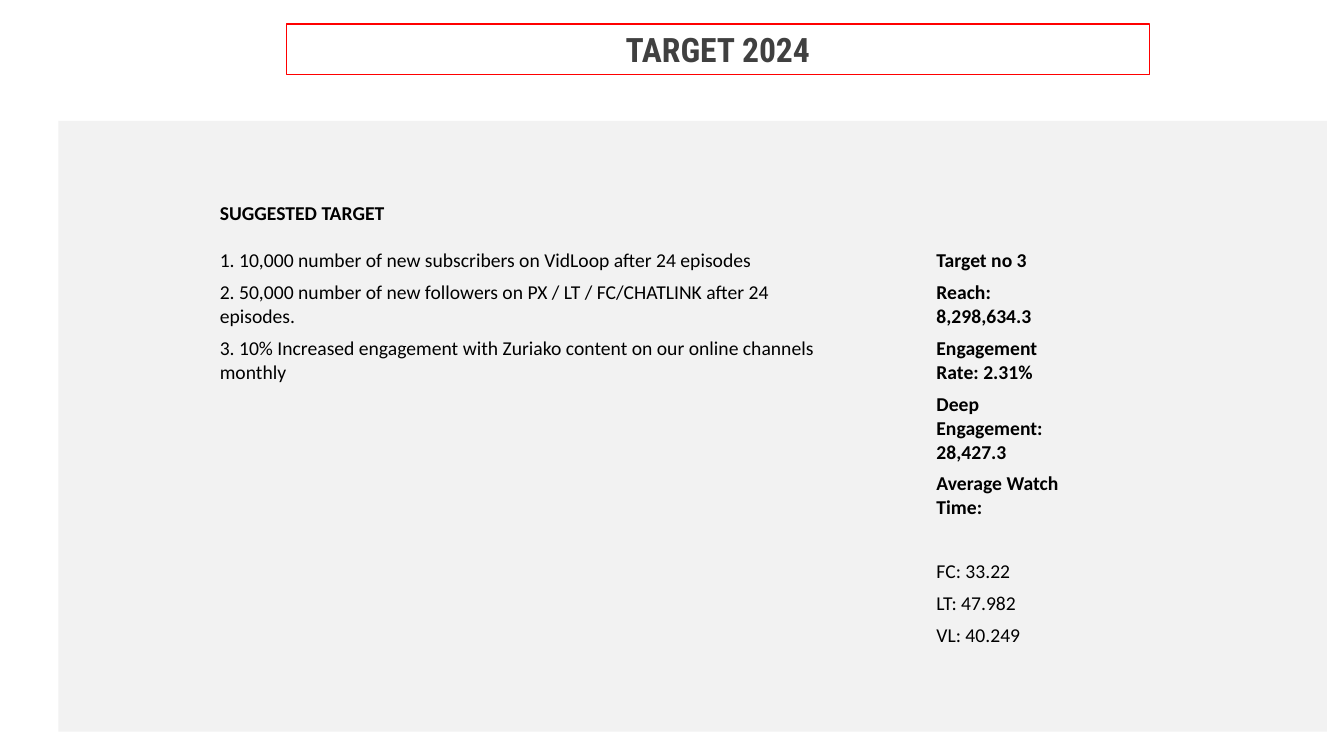
"""Build the TARGET 2024 slide with its table of suggested targets."""
from dataclasses import dataclass

from pptx import Presentation
from pptx.dml.color import RGBColor
from pptx.enum.shapes import MSO_SHAPE
from pptx.enum.text import MSO_ANCHOR, PP_ALIGN
from pptx.oxml.ns import qn
from pptx.shapes.autoshape import Shape
from pptx.slide import Slide
from pptx.table import Table, _Cell
from pptx.util import Inches, Pt

BLACK = RGBColor(0x00, 0x00, 0x00)
DARK_GREY = RGBColor(0x40, 0x40, 0x40)
LIGHT_GREY = RGBColor(0xF2, 0xF2, 0xF2)
RED = RGBColor(0xFF, 0x00, 0x00)

PLAIN_TABLE_STYLE = "{2D5ABB26-0587-4C30-8999-92F81FD0307C}"
COLUMN_COUNT = 11
COLUMN_WIDTH = 0.79
ROW_HEIGHTS = [0.3] * 3 + [0.53, 0.53, 0.76, 0.53] + [0.3] * 5
RESULT_COLUMN = 9


@dataclass(frozen=True)
class Entry:
    """A merged block of table cells and its text."""
    row: int
    column: int
    column_span: int
    text: str
    bold: bool = False
    row_span: int = 1


TARGETS = [
    Entry(0, 0, 7, "SUGGESTED TARGET", True, 2),
    Entry(2, 0, 7, "1. 10,000 number of new subscribers on VidLoop after 24 episodes"),
    Entry(3, 0, 8, "2. 50,000 number of new followers on PX / LT / FC/CHATLINK after 24 episodes."),
    Entry(4, 0, 8, "3. 10% Increased engagement with Zuriako content on our online channels monthly"),
]
RESULTS = [
    Entry(row, RESULT_COLUMN, 2, text, bold)
    for row, text, bold in [
        (2, "Target no 3", True),
        (3, "Reach: 8,298,634.3", True),
        (4, "Engagement Rate: 2.31%", True),
        (5, "Deep Engagement: 28,427.3", True),
        (6, "Average Watch Time:", True),
        (8, "FC: 33.22", False),
        (9, "LT: 47.982", False),
        (10, "VL: 40.249", False),
    ]
]


def add_rectangle(page: Slide, left: float, top: float, width: float, height: float) -> Shape:
    """Add a rectangle without shadow, fill or line."""
    box = page.shapes.add_shape(
        MSO_SHAPE.RECTANGLE, Inches(left), Inches(top), Inches(width), Inches(height))
    box.shadow.inherit = False
    box.fill.background()
    box.line.fill.background()
    return box


def add_title(page: Slide) -> None:
    """Add the red-framed title."""
    box = add_rectangle(page, 2.84, 0.24, 8.56, 0.5)
    box.line.color.rgb = RED
    box.line.width = Pt(1)
    paragraph = box.text_frame.paragraphs[0]
    paragraph.text = "TARGET 2024"
    paragraph.alignment = PP_ALIGN.CENTER
    paragraph.font.name = "Roboto Condensed"
    paragraph.font.size = Pt(24)
    paragraph.font.bold = True
    paragraph.font.color.rgb = DARK_GREY


def style_cell(cell: _Cell) -> None:
    """Give a cell its margins, anchor and font."""
    cell.fill.background()
    cell.vertical_anchor = MSO_ANCHOR.MIDDLE
    cell.margin_left = cell.margin_right = Inches(0.08)
    cell.margin_top = cell.margin_bottom = Inches(0.04)
    font = cell.text_frame.paragraphs[0].font
    font.name = "Calibri"
    font.size = Pt(14)
    font.color.rgb = BLACK


def add_grid(page: Slide) -> Table:
    """Add the unstyled table grid."""
    frame = page.shapes.add_table(
        len(ROW_HEIGHTS), COLUMN_COUNT, Inches(2.1), Inches(1.8),
        Inches(COLUMN_COUNT * COLUMN_WIDTH), Inches(sum(ROW_HEIGHTS)))
    for style in frame.element.iter(qn("a:tableStyleId")):
        style.text = PLAIN_TABLE_STYLE
    table = frame.table
    table.first_row = table.horz_banding = False
    for column in table.columns:
        column.width = Inches(COLUMN_WIDTH)
    for row, height in zip(table.rows, ROW_HEIGHTS):
        row.height = Inches(height)
    for cell in table.iter_cells():
        style_cell(cell)
    return table


def fill_entry(table: Table, entry: Entry) -> None:
    """Merge the cells of an entry and write its text."""
    cell = table.cell(entry.row, entry.column)
    cell.merge(table.cell(
        entry.row + entry.row_span - 1, entry.column + entry.column_span - 1))
    paragraph = cell.text_frame.paragraphs[0]
    paragraph.text = entry.text
    paragraph.font.bold = entry.bold


def main() -> None:
    """Create and save the deck."""
    deck = Presentation()
    deck.slide_width, deck.slide_height = Inches(13.33), Inches(7.5)
    page = deck.slides.add_slide(deck.slide_layouts[6])
    add_title(page)
    panel = add_rectangle(page, 0.58, 1.2, 12.58, 6.06)
    panel.fill.solid()
    panel.fill.fore_color.rgb = LIGHT_GREY
    table = add_grid(page)
    for entry in TARGETS + RESULTS:
        fill_entry(table, entry)
    deck.save("out.pptx")


if __name__ == "__main__":
    main()
